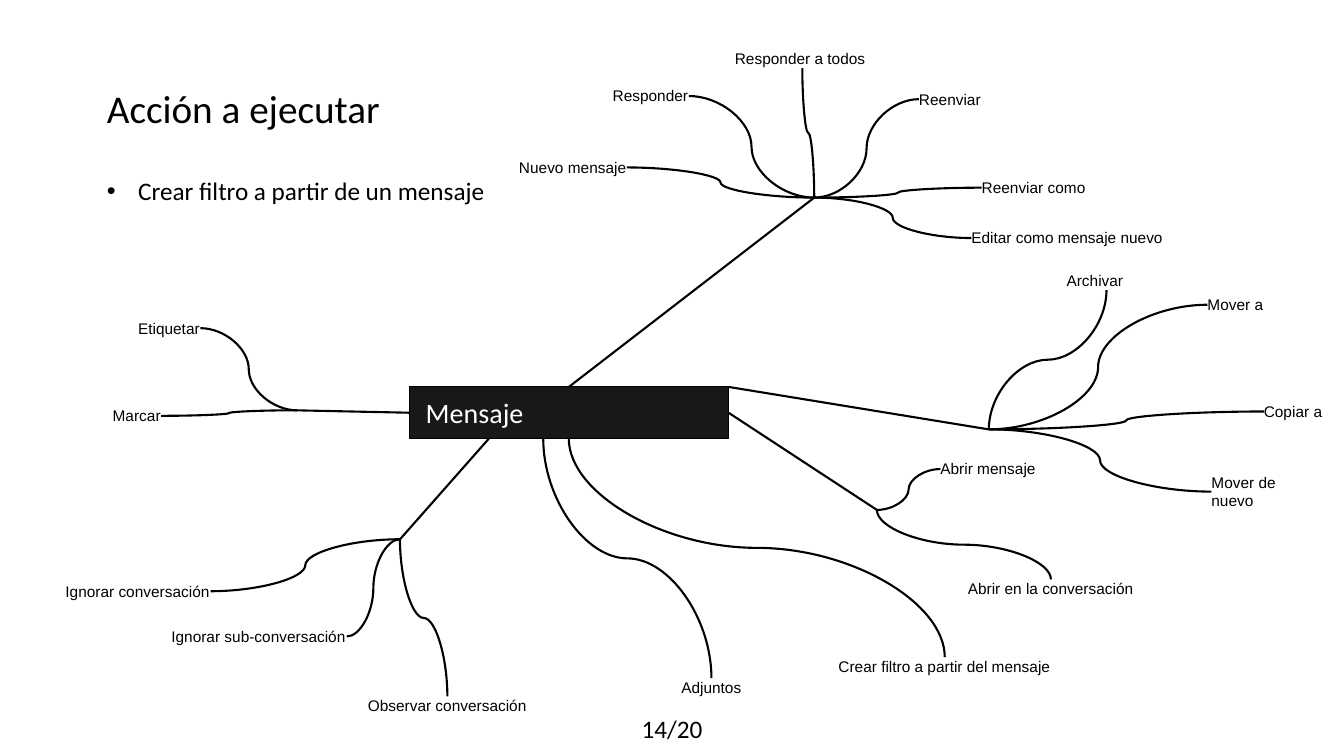
from lxml import etree
from pptx import Presentation
from pptx.dml.color import RGBColor
from pptx.enum import shapes, text
from pptx.oxml import ns
from pptx.util import Cm, Pt

BLACK = RGBColor(0, 0, 0)
WHITE = RGBColor(255, 255, 255)
CHARCOAL = RGBColor(0x18, 0x18, 0x1A)
LABEL_LINE = 0.48
ROOT = (10.31, 9.75, 8.05, 1.3)
SIDES = {"left": (0, 0.5), "right": (1, 0.5), "top": (0.5, 0), "bottom": (0.5, 1)}

BRANCHES = [
    dict(corner=(13.08, 1.24), hub=(7.44, 3.74), root_at=(0.5, 0), leaves=[
        ("Nuevo mensaje", 0, 2.74, 2.72, "right"),
        ("Responder", 2.36, 0.94, 1.92, "right"),
        ("Responder a todos", 5.44, 0, 3.4, "bottom"),
        ("Reenviar", 10.08, 1.02, 1.57, "left"),
        ("Reenviar como", 11.66, 3.25, 2.64, "left"),
        ("Editar como mensaje nuevo", 11.4, 4.52, 4.85, "left")]),
    dict(corner=(2.84, 8.03), hub=(4.65, 2.31), root_at=(0, 0.5), leaves=[
        ("Etiquetar", 0.64, 0, 1.57, "right"),
        ("Marcar", 0, 2.21, 1.22, "right")]),
    dict(corner=(22.1, 11.58), hub=(0, 1.27), root_at=(1, 0.5), leaves=[
        ("Abrir mensaje", 1.6, 0, 2.41, "left"),
        ("Abrir en la conversación", 2.29, 3.02, 4.19, "top")]),
    dict(corner=(24.92, 6.83), hub=(0, 3.99), root_at=(1, 0), wrap=True, leaves=[
        ("Archivar", 1.96, 0, 2.01, "bottom"),
        ("Mover a", 5.51, 0.61, 1.85, "left"),
        ("Copiar a", 6.93, 3.3, 1.85, "left"),
        ("Mover de nuevo", 5.61, 5.08, 2.59, "left", 2)]),
    dict(corner=(1.65, 13.59), hub=(8.43, 0), root_at=(0.25, 1), leaves=[
        ("Ignorar conversación", 0, 1.07, 3.66, "right"),
        ("Ignorar sub-conversación", 2.67, 2.21, 4.42, "right"),
        ("Observar conversación", 7.62, 3.96, 4.01, "top")]),
]
DIRECT_LEAVES = [
    ((0.42, 1), ("Adjuntos", 0, 0.53, 1.52, "top")),
    ((0.5, 1), ("Crear filtro a partir del mensaje", 3.96, 0, 5.36, "top")),
]


def point_on(box, fraction):
    left, top, width, height = box
    return left + width * fraction[0], top + height * fraction[1]


def place(part, box):
    part.left, part.top, part.width, part.height = map(Cm, box)


def write(part, words, size, font="Calibri", color=BLACK, align=text.PP_ALIGN.LEFT,
          anchor=text.MSO_ANCHOR.TOP, wrap=True, margins=None):
    frame = part.text_frame
    frame.text = words
    frame.word_wrap = wrap
    frame.auto_size = text.MSO_AUTO_SIZE.NONE
    frame.vertical_anchor = anchor
    if margins is not None:
        frame.margin_left = Cm(margins)
        frame.margin_right = frame.margin_top = frame.margin_bottom = 0
    paragraph = frame.paragraphs[0]
    paragraph.alignment = align
    paragraph.space_before = Pt(0)
    for run in paragraph.runs:
        run.font.name = font
        run.font.size = Pt(size)
        run.font.color.rgb = color
    return paragraph


def draw_link(slide, kind, start, end):
    link = slide.shapes.add_connector(kind, *map(Cm, start + end))
    link.line.color.rgb = BLACK
    link.line.width = Pt(1.5)
    etree.SubElement(link._element.spPr, ns.qn("a:effectLst"))
    return link


def draw_curve(slide, start, end, upright):
    curve = shapes.MSO_CONNECTOR.CURVE
    if not upright:
        draw_link(slide, curve, start, end)
        return
    (x1, y1), (x2, y2) = start, end
    middle_x, middle_y = (x1 + x2) / 2, (y1 + y2) / 2
    half_x, half_y = (x2 - x1) / 2, (y2 - y1) / 2
    link = draw_link(slide, curve, (middle_x - half_y, middle_y + half_x),
                     (middle_x + half_y, middle_y - half_x))
    link._element.spPr.find(ns.qn("a:xfrm")).set("rot", str(90 * 60000))


def draw_leaf(slide, corner, hub, leaf, wrap=False):
    words, left, top, width, side = leaf[:5]
    lines = leaf[5] if len(leaf) > 5 else 1
    box = (corner[0] + left, corner[1] + top, width, LABEL_LINE * lines)
    label = slide.shapes.add_textbox(*map(Cm, box))
    write(label, words, 11, "Arial", wrap=wrap, margins=0)
    draw_curve(slide, point_on(box, SIDES[side]), hub, side in ("top", "bottom"))


def draw_branch(slide, root_box, corner, hub, root_at, leaves, wrap=False):
    knot = (corner[0] + hub[0], corner[1] + hub[1])
    draw_link(slide, shapes.MSO_CONNECTOR.STRAIGHT, point_on(root_box, root_at), knot)
    for leaf in leaves:
        draw_leaf(slide, corner, knot, leaf, wrap)


def draw_root(slide, box):
    root = slide.shapes.add_shape(shapes.MSO_SHAPE.RECTANGLE, *map(Cm, box))
    root.shadow.inherit = False
    root.fill.solid()
    root.fill.fore_color.rgb = CHARCOAL
    root.line.color.rgb = BLACK
    root.line.width = Pt(0.75)
    write(root, "Mensaje", 20, color=WHITE, anchor=text.MSO_ANCHOR.MIDDLE, margins=0.42)


def draw_heading(slide, box):
    left, top, width, height = box
    title, body = slide.placeholders
    place(title, (left, top, width, 1.45))
    write(title, "Acción a ejecutar", 28, anchor=text.MSO_ANCHOR.MIDDLE)
    place(body, (left, top + 2.31, width, height - 2.31))
    bullet = write(body, "Crear filtro a partir de un mensaje", 18)
    properties = bullet._p.get_or_add_pPr()
    properties.set("marL", str(Cm(0.79)))
    properties.set("indent", str(-Cm(0.79)))


def draw_page_number(slide, box):
    number = slide.shapes.add_textbox(*map(Cm, box))
    write(number, "14/20", 18, align=text.PP_ALIGN.CENTER)


def build_mind_map(slide, root_box):
    for branch in BRANCHES:
        draw_branch(slide, root_box, **branch)
    for root_at, leaf in DIRECT_LEAVES:
        draw_leaf(slide, (17.17, 16.56), point_on(root_box, root_at), leaf)
    draw_root(slide, root_box)


deck = Presentation()
deck.slide_width, deck.slide_height = Cm(33.87), Cm(19.05)
action_slide = deck.slides.add_slide(deck.slide_layouts[1])
draw_heading(action_slide, (2.44, 1.98, 18.62, 3.35))
build_mind_map(action_slide, ROOT)
draw_page_number(action_slide, (0, 17.86, 33.87, 1.02))
deck.save("out.pptx")
